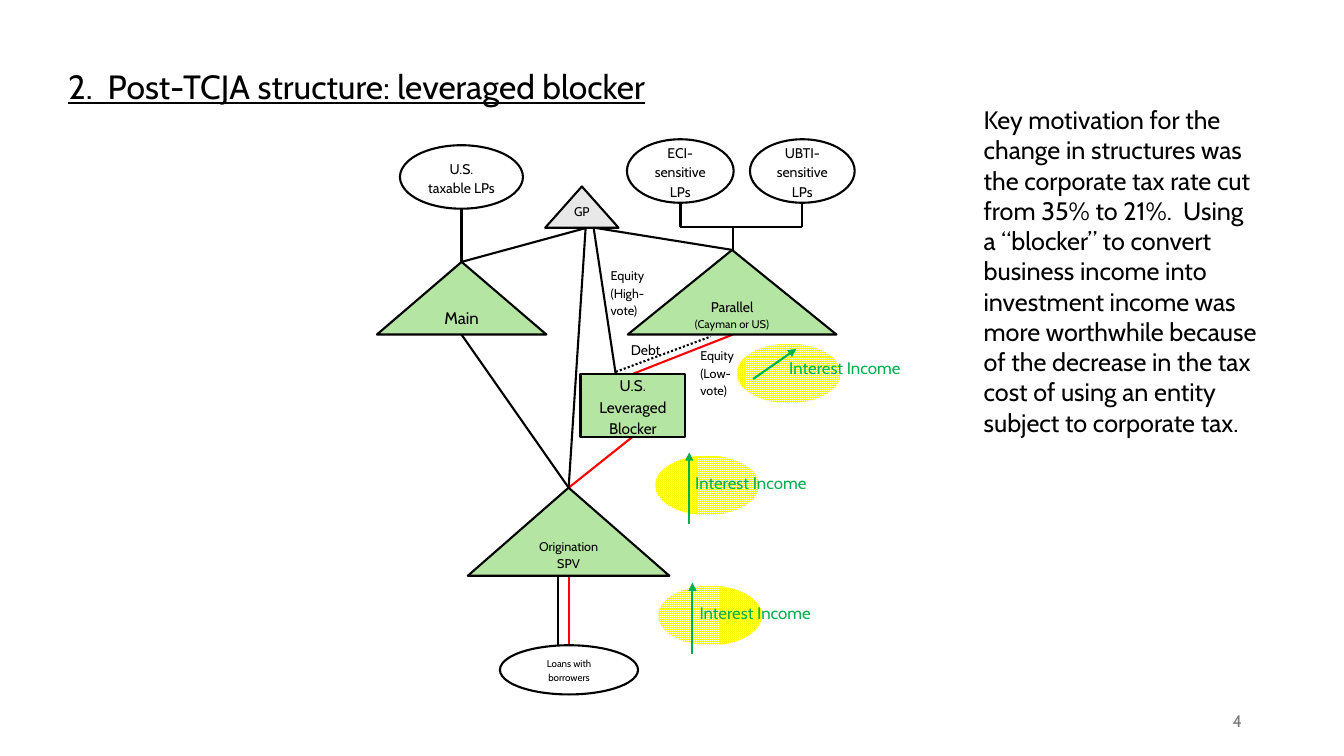
"""Draw the post-TCJA leveraged blocker fund structure slide."""
import lxml.etree
import pptx
import pptx.dml.color
import pptx.enum.dml
import pptx.enum.shapes
import pptx.enum.text
import pptx.oxml.ns
import pptx.util

RGBColor = pptx.dml.color.RGBColor
Cm = pptx.util.Cm
Pt = pptx.util.Pt
qn = pptx.oxml.ns.qn
MSO_SHAPE = pptx.enum.shapes.MSO_SHAPE
ALIGN = pptx.enum.text.PP_ALIGN
ANCHOR = pptx.enum.text.MSO_ANCHOR

BLACK = RGBColor(0x00, 0x00, 0x00)
WHITE = RGBColor(0xFF, 0xFF, 0xFF)
RED = RGBColor(0xFF, 0x00, 0x00)
YELLOW = RGBColor(0xFF, 0xFF, 0x00)
GREEN = RGBColor(0x00, 0xB0, 0x50)
LIGHT_GREEN = RGBColor(0xB4, 0xE5, 0xA2)
LIGHT_GRAY = RGBColor(0xE8, 0xE8, 0xE8)
GRAY = RGBColor(0x79, 0x79, 0x79)

GP_BASE = (14.86, 5.72)
MAIN_TOP, MAIN_BASE = (11.63, 6.6), (11.63, 8.43)
PARALLEL_TOP, PARALLEL_BASE = (18.47, 6.3), (18.47, 8.43)
BLOCKER_TOP, BLOCKER_BASE = (15.95, 9.42), (15.95, 11)
SPV_TOP, SPV_BASE = (14.33, 12.29), (14.33, 14.53)
LOANS_TOP = (14.33, 16.26)
BUS_LEFT, BUS_RIGHT, BUS_Y, LP_BASE_Y = 17.15, 20.22, 5.72, 5.11

LINKS = [
    (PARALLEL_BASE, BLOCKER_TOP, RED),
    (BLOCKER_BASE, SPV_TOP, RED),
    (SPV_BASE, LOANS_TOP, RED),
    ((14.07, 14.53), (14.07, 16.51), BLACK),
    ((BUS_LEFT, BUS_Y), (BUS_RIGHT, BUS_Y), BLACK),
    ((BUS_LEFT, LP_BASE_Y), (BUS_LEFT, BUS_Y), BLACK),
    ((BUS_RIGHT, LP_BASE_Y), (BUS_RIGHT, BUS_Y), BLACK),
    ((18.47, BUS_Y), PARALLEL_TOP, BLACK),
    (MAIN_TOP, (11.63, 5.23), BLACK),
    (MAIN_TOP, GP_BASE, BLACK),
    (PARALLEL_TOP, GP_BASE, BLACK),
    ((15.52, 9.45), (14.96, 5.74), BLACK),
    (SPV_TOP, (14.76, 5.72), BLACK),
    (SPV_TOP, MAIN_BASE, BLACK),
]

ENTITIES = [
    (MSO_SHAPE.OVAL, (10.08, 3.66, 3.1, 1.6), WHITE, [("U.S. taxable LPs", 10)]),
    (MSO_SHAPE.OVAL, (15.8, 3.51, 2.69, 1.6), WHITE, [("ECI-sensitive LPs", 10)]),
    (MSO_SHAPE.OVAL, (18.9, 3.51, 2.64, 1.6), WHITE, [("UBTI-sensitive LPs", 10)]),
    (MSO_SHAPE.OVAL, (12.6, 16.26, 3.48, 1.24), WHITE, [("Loans with borrowers", 7)]),
    (MSO_SHAPE.ISOSCELES_TRIANGLE, (9.5, 6.6, 4.27, 1.83), LIGHT_GREEN, [("Main", 12)]),
    (MSO_SHAPE.ISOSCELES_TRIANGLE, (15.82, 6.3, 5.26, 2.13), LIGHT_GREEN,
     [("Parallel", 10), ("(Cayman or US)", 8)]),
    (MSO_SHAPE.ISOSCELES_TRIANGLE, (11.79, 12.29, 5.08, 2.22), LIGHT_GREEN,
     [("Origination SPV", 9)]),
    (MSO_SHAPE.RECTANGLE, (14.63, 9.42, 2.64, 1.6), LIGHT_GREEN,
     [("U.S. Leveraged Blocker", 11)]),
]

LABELS = [
    ((15.65, 8.43, 1.8, 1.04), [("Debt", 10)]),
    ((17.4, 8.59, 1.8, 1.55), [("Equity", 9), ("(Low-vote)", 9)]),
    ((15.14, 6.58, 1.8, 1.55), [("Equity", 9), ("(High-vote)", 9)]),
]

UP_ARROW = ((0.86, 1.73), (0.86, -0.08))
INCOMES = [
    ((18.57, 8.66), ((0.41, 0.89), (1.5, 0.13)), (1.07, 0.23)),
    ((16.51, 11.48), UP_ARROW, (0.76, 0.3)),
    ((16.59, 14.76), UP_ARROW, (0.79, 0.3)),
]

MOTIVATION = (
    "Key motivation for the change in structures was the corporate tax rate cut "
    "from 35% to 21%.  Using a “blocker” to convert business income into "
    "investment income was more worthwhile because of the decrease in the tax "
    "cost of using an entity subject to corporate tax."
)


class Diagram:
    """Hold the style and the current slide."""

    font = "Cabin"
    weight = Pt(1.5)

    def __init__(self, s):
        self.s = s

    def add_lines(self, tf, lines, color=BLACK, align=ALIGN.LEFT, anchor=ANCHOR.TOP,
                  spacing=None, after=0, underline=None):
        """Fill a text frame with sized lines in one paragraph."""
        tf.word_wrap = True
        tf.vertical_anchor = anchor
        p = tf.paragraphs[0]
        p.alignment = align
        p.line_spacing = spacing
        p.space_after = Pt(after)
        for i, (text, size) in enumerate(lines):
            if i:
                p.add_line_break()
            r = p.add_run()
            r.text = text
            r.font.name = self.font
            r.font.size = Pt(size)
            r.font.color.rgb = color
            r.font.underline = underline

    def text(self, box, lines, **style):
        """Add a text box."""
        sp = self.s.shapes.add_textbox(*map(Cm, box))
        self.add_lines(sp.text_frame, lines, **style)

    def entity(self, kind, box, fill, lines):
        """Add an outlined shape with centred text."""
        sp = self.s.shapes.add_shape(kind, *map(Cm, box))
        sp.shadow.inherit = False
        sp.fill.solid()
        sp.fill.fore_color.rgb = fill
        sp.line.color.rgb = BLACK
        sp.line.width = self.weight
        self.add_lines(sp.text_frame, lines, align=ALIGN.CENTER,
                       anchor=ANCHOR.MIDDLE, spacing=1.15, after=8)
        return sp

    def line(self, start, end, color=BLACK, dotted=False, arrow=False):
        """Add a straight connector."""
        sp = self.s.shapes.add_connector(
            pptx.enum.shapes.MSO_CONNECTOR.STRAIGHT, *map(Cm, start + end))
        sp.line.color.rgb = color
        sp.line.width = self.weight
        if dotted:
            sp.line.dash_style = pptx.enum.dml.MSO_LINE.ROUND_DOT
        spPr = sp._element.spPr
        if arrow:
            lxml.etree.SubElement(spPr.find(qn("a:ln")), qn("a:tailEnd"), type="triangle")
        lxml.etree.SubElement(spPr, qn("a:effectLst"))

    def income(self, corner, arrow, label):
        """Add a highlighted interest income flow with its arrow."""
        x, y = corner
        sp = self.s.shapes.add_shape(MSO_SHAPE.OVAL, Cm(x), Cm(y), Cm(2.62), Cm(1.5))
        sp.shadow.inherit = False
        sp.fill.patterned()
        sp.fill.pattern = pptx.enum.dml.MSO_PATTERN.SMALL_GRID
        sp.fill.fore_color.rgb = YELLOW
        sp.fill.back_color.rgb = WHITE
        sp.line.fill.background()
        start, end = [(x + dx, y + dy) for dx, dy in arrow]
        self.line(start, end, GREEN, arrow=True)
        self.text((x + label[0], y + label[1], 3.81, 0.77),
                  [("Interest Income", 12)], color=GREEN)


def main():
    """Build and save the slide."""
    prs = pptx.Presentation()
    prs.slide_width, prs.slide_height = Cm(33.87), Cm(19.05)
    d = Diagram(prs.slides.add_slide(prs.slide_layouts[6]))
    for income in INCOMES:
        d.income(*income)
    for link in LINKS:
        d.line(*link)
    d.line((15.52, 9.37), (17.91, 8.48), dotted=True)
    for entity in ENTITIES:
        d.entity(*entity)
    gp = d.entity(MSO_SHAPE.ISOSCELES_TRIANGLE, (13.74, 4.7, 1.85, 1.04),
                  LIGHT_GRAY, [("GP", 9)])
    gp.text_frame.margin_top = 0
    gp.text_frame.margin_bottom = Cm(0.34)
    for box, lines in LABELS:
        d.text(box, lines, spacing=1.15, after=8)
    d.text((1.47, 1.42, 20.35, 1.4), [("2.  Post-TCJA structure: leveraged blocker", 24)],
           anchor=ANCHOR.BOTTOM, spacing=0.9, underline=True)
    d.text((24.54, 2.51, 7.44, 9.5), [(MOTIVATION, 18)])
    d.text((23.93, 17.65, 7.62, 1.02), [("4", 12)], color=GRAY,
           align=ALIGN.RIGHT, anchor=ANCHOR.MIDDLE)
    prs.save("out.pptx")


if __name__ == "__main__":
    main()
